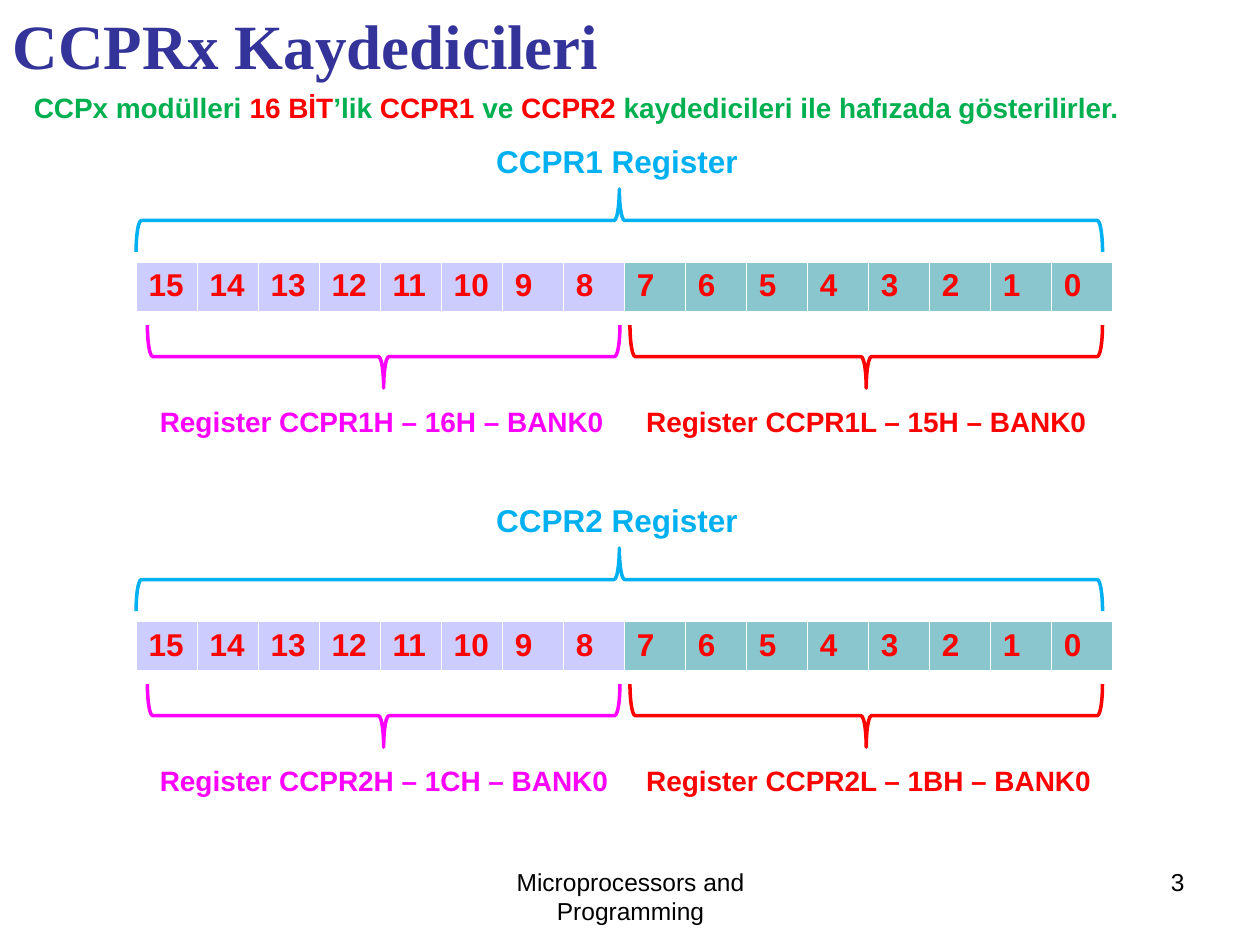
from dataclasses import dataclass

from lxml.etree import SubElement
from pptx import Presentation
from pptx.dml.color import RGBColor
from pptx.enum.shapes import MSO_SHAPE
from pptx.enum.text import MSO_ANCHOR, PP_ALIGN
from pptx.oxml.ns import qn
from pptx.slide import Slide
from pptx.table import _Cell
from pptx.text.text import TextFrame
from pptx.util import Inches, Pt


@dataclass(frozen=True)
class Theme:
    title_font: str = "Times New Roman"
    body_font: str = "Arial"
    title_size: int = 36
    register_size: int = 18
    label_size: int = 16
    footer_size: int = 14
    title: str = "333399"
    black: str = "000000"
    white: str = "FFFFFF"
    green: str = "00B050"
    red: str = "FF0000"
    magenta: str = "FF00FF"
    blue: str = "00B0F0"
    high_fill: str = "CCCCFF"
    low_fill: str = "8AC6CD"
    brace_width: float = 2
    thin_border: float = 0.45
    bottom_border: float = 1.47


@dataclass(frozen=True)
class Area:
    left: float
    top: float
    width: float
    height: float

    def lengths(self) -> tuple[int, int, int, int]:
        return (Inches(self.left), Inches(self.top),
                Inches(self.width), Inches(self.height))


@dataclass(frozen=True)
class Register:
    name: str
    high_address: str
    low_address: str
    top: float


THEME = Theme()
BITS = 16
BRACE_DEPTH = 0.5
REGISTERS = [
    Register("CCPR1", "16H", "15H", 1.08),
    Register("CCPR2", "1CH", "1BH", 3.93),
]
INTRODUCTION = [
    ("CCPx modülleri ", THEME.green),
    ("16 BİT", THEME.red),
    ("’lik ", THEME.green),
    ("CCPR1 ", THEME.red),
    ("ve ", THEME.green),
    ("CCPR2", THEME.red),
    (" kaydedicileri ile hafızada gösterilirler.", THEME.green),
]


def write(frame: TextFrame, spans: list[tuple[str, str]], size: float,
          bold: bool = True, align: PP_ALIGN = PP_ALIGN.LEFT,
          font: str = THEME.body_font) -> None:
    para = frame.paragraphs[0]
    para.alignment = align
    para.font.name = font
    para.font.size = Pt(size)
    para.font.bold = bold
    for text, color in spans:
        span = para.add_run()
        span.text = text
        span.font.color.rgb = RGBColor.from_string(color)


def add_text(page: Slide, area: Area, spans: list[tuple[str, str]], size: float,
             bold: bool = True, align: PP_ALIGN = PP_ALIGN.LEFT) -> None:
    box = page.shapes.add_textbox(*area.lengths())
    box.text_frame.word_wrap = True
    write(box.text_frame, spans, size, bold, align)


def add_title(page: Slide, area: Area, text: str) -> None:
    title = page.shapes.title
    title.left, title.top, title.width, title.height = area.lengths()
    frame = title.text_frame
    frame.vertical_anchor = MSO_ANCHOR.TOP
    write(frame, [(text, THEME.title)], THEME.title_size, font=THEME.title_font)


def add_brace(page: Slide, left: float, top: float, length: float,
              rotation: int, color: str) -> None:
    area = Area(left + (length - BRACE_DEPTH) / 2,
                top - (length - BRACE_DEPTH) / 2, BRACE_DEPTH, length)
    brace = page.shapes.add_shape(MSO_SHAPE.LEFT_BRACE, *area.lengths())
    brace.rotation = rotation
    brace.shadow.inherit = False
    brace.fill.background()
    brace.line.color.rgb = RGBColor.from_string(color)
    brace.line.width = Pt(THEME.brace_width)


def add_borders(cell: _Cell) -> None:
    properties = cell._tc.get_or_add_tcPr()
    for side in "LRTB":
        width = THEME.bottom_border if side == "B" else THEME.thin_border
        border = SubElement(properties, qn(f"a:ln{side}"), w=str(Pt(width)))
        fill = SubElement(border, qn("a:solidFill"))
        SubElement(fill, qn("a:srgbClr"), val=THEME.white)


def add_bit_table(page: Slide, area: Area) -> None:
    table = page.shapes.add_table(1, BITS, *area.lengths()).table
    table.first_row = False
    table.horz_banding = False
    for index, column in enumerate(table.columns):
        column.width = Inches(area.width / BITS)
        cell = table.cell(0, index)
        add_borders(cell)
        cell.fill.solid()
        cell.fill.fore_color.rgb = RGBColor.from_string(
            THEME.high_fill if index < BITS // 2 else THEME.low_fill)
        write(cell.text_frame, [(str(BITS - 1 - index), THEME.red)],
              THEME.register_size)


def add_register(page: Slide, register: Register) -> None:
    top = register.top
    add_text(page, Area(3.84, top, 2.3, 0.4),
             [(f"{register.name} Register", THEME.blue)], THEME.register_size)
    add_brace(page, 1.08, top + 0.42, 7.67, 90, THEME.blue)
    add_bit_table(page, Area(1.08, top + 1, 7.75, 0.4))
    halves = [
        ("H", register.high_address, 1.17, 1.17, THEME.magenta),
        ("L", register.low_address, 5, 5.03, THEME.red),
    ]
    for suffix, address, brace_left, label_left, color in halves:
        add_brace(page, brace_left, top + 1.5, 3.75, 270, color)
        label = f"Register {register.name}{suffix} – {address} – BANK0"
        add_text(page, Area(label_left, top + 2.08, 3.85, 0.37),
                 [(label, color)], THEME.label_size)


def main() -> None:
    deck = Presentation()
    deck.slide_width = Inches(10)
    deck.slide_height = Inches(7.5)
    page = deck.slides.add_slide(deck.slide_layouts[5])
    add_title(page, Area(0, 0, 8.9, 0.7), "CCPRx Kaydedicileri")
    add_text(page, Area(0.17, 0.67, 9.67, 0.37), INTRODUCTION, THEME.label_size)
    for register in REGISTERS:
        add_register(page, register)
    add_text(page, Area(3.42, 6.83, 3.17, 0.52),
             [("Microprocessors and Programming", THEME.black)],
             THEME.footer_size, bold=False, align=PP_ALIGN.CENTER)
    add_text(page, Area(7.17, 6.83, 2.33, 0.52), [("3", THEME.black)],
             THEME.footer_size, bold=False, align=PP_ALIGN.RIGHT)
    deck.save("out.pptx")


if __name__ == "__main__":
    main()
